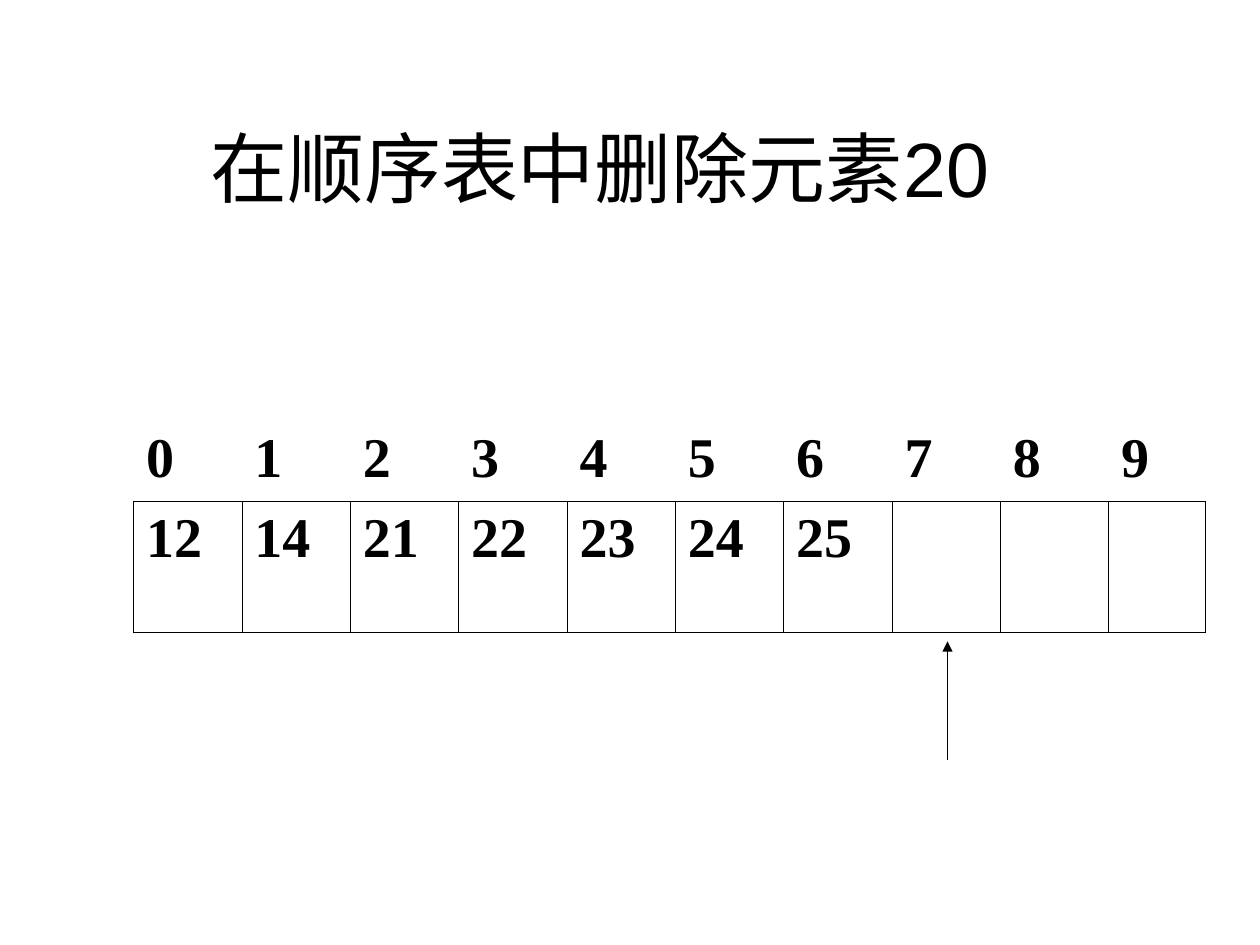
import pptx
import pptx.dml.color
import pptx.enum.shapes
import pptx.enum.text
import pptx.oxml
import pptx.oxml.ns
import pptx.util
from pptx.util import Inches

BLACK = "000000"
VALUES = ["12", "14", "21", "22", "23", "24", "25"]
CAPACITY = 10


def color(value):
    return pptx.dml.color.RGBColor.from_string(value)


def add_xml(parent, tag, **attributes):
    child = pptx.oxml.parse_xml(f"<a:{tag} {pptx.oxml.ns.nsdecls('a')}/>")
    for name, value in attributes.items():
        child.set(name, str(value))
    parent.append(child)
    return child


class SlideBuilder:
    title_font = "Arial"
    cell_font = "Times New Roman"
    ink = BLACK
    border_width = 0.45

    def __init__(self, page):
        self.page = page

    def format(self, para, font, size, bold=False):
        for span in para.runs:
            span.font.name = font
            span.font.size = pptx.util.Pt(size)
            span.font.bold = bold
            span.font.color.rgb = color(self.ink)

    def title(self, text, left, top, width, height):
        box = self.page.shapes.title
        box.left, box.top = Inches(left), Inches(top)
        box.width, box.height = Inches(width), Inches(height)
        frame = box.text_frame
        frame.text = text
        frame.word_wrap = True
        frame.vertical_anchor = pptx.enum.text.MSO_ANCHOR.MIDDLE
        para = frame.paragraphs[0]
        para.alignment = pptx.enum.text.PP_ALIGN.CENTER
        self.format(para, self.title_font, 44)

    def borders(self, cell, visible):
        properties = cell._tc.get_or_add_tcPr()
        for side in "LRTB":
            line = add_xml(properties, f"ln{side}", w=pptx.util.Pt(self.border_width))
            if side in visible:
                add_xml(add_xml(line, "solidFill"), "srgbClr", val=self.ink)
            else:
                add_xml(line, "noFill")

    def table(self, rows, left, top, widths, heights, visible_borders):
        table = self.page.shapes.add_table(
            len(heights), len(widths), Inches(left), Inches(top),
            Inches(sum(widths)), Inches(sum(heights))).table
        table.first_row = table.horz_banding = False
        for column, width in zip(table.columns, widths):
            column.width = Inches(width)
        for row, height, texts, visible in zip(table.rows, heights, rows, visible_borders):
            row.height = Inches(height)
            for cell, text in zip(row.cells, texts):
                cell.text_frame.text = text
                self.format(cell.text_frame.paragraphs[0], self.cell_font, 32, True)
                self.borders(cell, visible)
                cell.fill.background()

    def arrow(self, start, end):
        arrow = self.page.shapes.add_connector(
            pptx.enum.shapes.MSO_CONNECTOR.STRAIGHT, *map(Inches, start + end))
        arrow.line.color.rgb = color(self.ink)
        arrow.line.width = pptx.util.Pt(0.75)
        add_xml(arrow.line._get_or_add_ln(), "tailEnd", type="triangle")
        add_xml(arrow._element.spPr, "effectLst")


def main():
    deck = pptx.Presentation()
    deck.slide_width, deck.slide_height = Inches(10), Inches(7.5)
    builder = SlideBuilder(deck.slides.add_slide(deck.slide_layouts[5]))
    builder.title("在顺序表中删除元素20", 0.51, 0.52, 8.5, 1.61)
    indices = [str(index) for index in range(CAPACITY)]
    slots = VALUES + [""] * (CAPACITY - len(VALUES))
    widths = [0.86] * (CAPACITY - 1) + [0.77]
    builder.table([indices, slots], 1.06, 3.34, widths, [0.64, 1.04], ["B", "LRTB"])
    builder.arrow((7.52, 6.03), (7.52, 5.09))
    deck.save("out.pptx")


if __name__ == "__main__":
    main()
